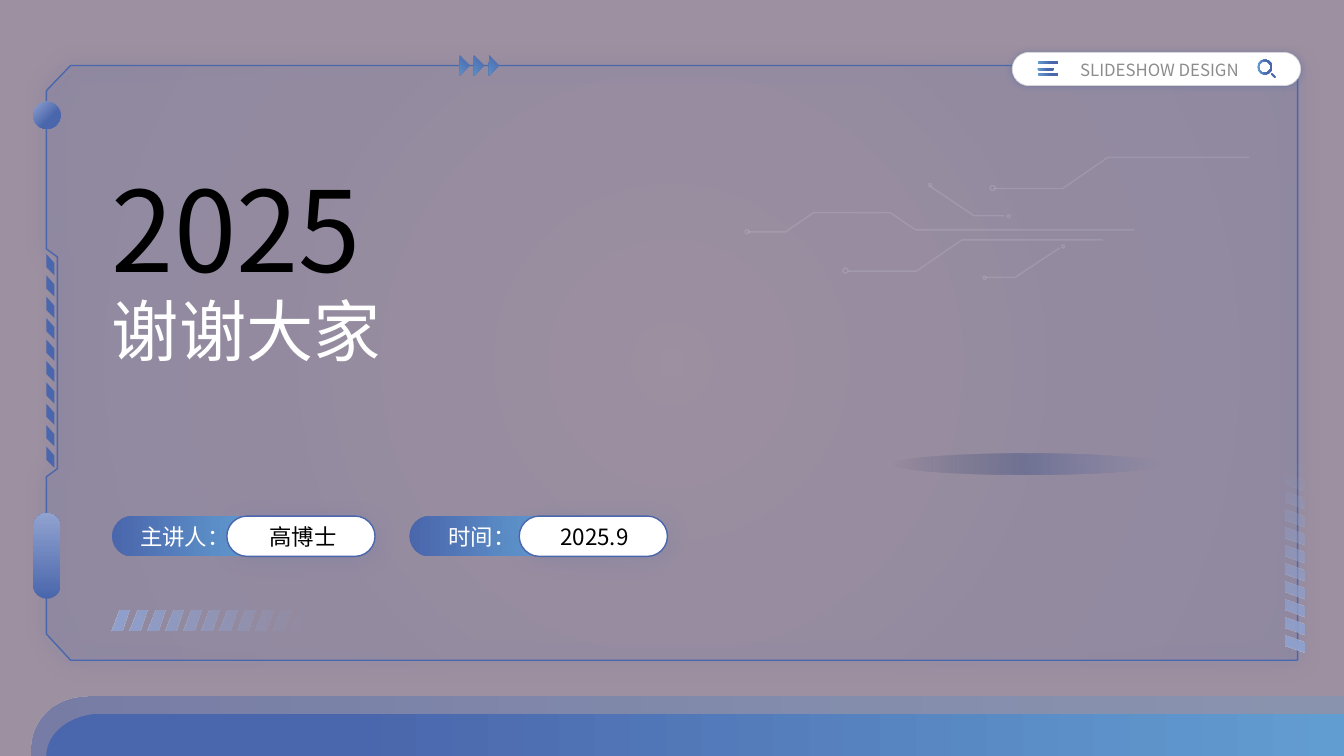
import math
import lxml.etree
import pptx
import pptx.dml.color
import pptx.enum.shapes
import pptx.enum.text
import pptx.oxml.ns
import pptx.util

Inches = pptx.util.Inches
qn = pptx.oxml.ns.qn
add_element = lxml.etree.SubElement
SHAPE = pptx.enum.shapes.MSO_SHAPE
ALIGN = pptx.enum.text.PP_ALIGN
ANCHOR = pptx.enum.text.MSO_ANCHOR

FONT = "Noto Sans CJK SC"
BLUE, SKY, PALE, NAVY = "4A66AC", "629DD1", "90A2CF", "384C81"
BLUE_TO_SKY = [(0, BLUE, 100), (100, SKY, 100)]
SKY_TO_BLUE = [(0, SKY, 100), (64, BLUE, 100)]
PALE_FADE = [(0, PALE, 100), (100, PALE, 0)]


def paint(fill, tint, alpha=100, angle=0):
    """Fill with a hex colour, or with gradient stops (position, hex, alpha); no angle is radial."""
    if isinstance(tint, str):
        fill.solid()
        fill.fore_color.rgb = pptx.dml.color.RGBColor.from_string(tint)
        if alpha < 100:
            color = fill._xPr.find(qn("a:solidFill"))[0]
            add_element(color, qn("a:alpha"), val=str(alpha * 1000))
        return
    fill.gradient()
    gradient = fill._xPr.find(qn("a:gradFill"))
    for child in list(gradient):
        gradient.remove(child)
    stops = add_element(gradient, qn("a:gsLst"))
    for position, value, opacity in tint:
        stop = add_element(stops, qn("a:gs"), pos=str(position * 1000))
        color = add_element(stop, qn("a:srgbClr"), val=value)
        add_element(color, qn("a:alpha"), val=str(opacity * 1000))
    if angle is None:
        radial = add_element(gradient, qn("a:path"), path="circle")
        add_element(radial, qn("a:fillToRect"), l="50000", t="50000", r="50000", b="50000")
    else:
        add_element(gradient, qn("a:lin"), ang=str(angle * 60000), scaled="0")


def draw(parent, kind, place, fill=None, angle=0, line=None, width=1, line_alpha=100,
         shadow=None, closed=True):
    """Draw a preset at (left, top, width, height), or with no kind a list of contours."""
    if kind is None:
        contours = [[(Inches(x), Inches(y)) for x, y in contour] for contour in place]
        builder = parent.build_freeform(*contours[0][0])
        for number, contour in enumerate(contours):
            if number:
                builder.move_to(*contour[0])
            builder.add_line_segments(contour[1:], close=closed)
        shape = builder.convert_to_shape()
    else:
        shape = parent.add_shape(kind, *[Inches(value) for value in place])
        if kind == SHAPE.ROUNDED_RECTANGLE:
            shape.adjustments[0] = 0.5
    shape.shadow.inherit = False
    if fill:
        paint(shape.fill, fill, angle=angle)
    else:
        shape.fill.background()
    if line:
        paint(shape.line.fill, line, line_alpha)
        shape.line.width = pptx.util.Pt(width)
    else:
        shape.line.fill.background()
    if shadow:
        alpha, blur, distance, direction = shadow
        effects = shape._element.spPr.find(qn("a:effectLst"))
        outer = add_element(effects, qn("a:outerShdw"), blurRad=str(blur * 12700),
                            dist=str(distance * 12700), dir=str(direction * 60000),
                            algn="ctr", rotWithShape="0")
        color = add_element(outer, qn("a:srgbClr"), val=BLUE)
        add_element(color, qn("a:alpha"), val=str(alpha * 1000))
    return shape


deck = pptx.Presentation()
deck.slide_width, deck.slide_height = Inches(13.33), Inches(7.5)
page = deck.slides.add_slide(deck.slide_layouts[5])
shapes = page.shapes

# Backdrop and frame
draw(shapes, SHAPE.RECTANGLE, (-0.02, 0, 13.35, 7.5), "9D90A0")
frame = [(0.7, 0.65), (12.87, 0.65), (12.87, 6.55), (0.7, 6.55), (0.46, 6.29),
         (0.46, 4.73), (0.57, 4.65), (0.57, 2.55), (0.46, 2.47), (0.46, 0.9)]
draw(shapes, None, [frame], [(0, BLUE, 0), (100, BLUE, 10)], None, line=BLUE,
     shadow=(70, 15, 0, 0))

# Knobs on the left edge and header pill
draw(shapes, SHAPE.ROUNDED_RECTANGLE, (0.33, 5.09, 0.27, 0.85),
     [(0, BLUE, 100), (100, PALE, 100)], 270)
draw(shapes, SHAPE.OVAL, (0.33, 1.01, 0.27, 0.27), [(0, PALE, 100), (64, BLUE, 100)], 45)
draw(shapes, SHAPE.ROUNDED_RECTANGLE, (10.04, 0.52, 2.86, 0.33), "FFFFFF",
     line="D9D9D9", width=0.5, shadow=(40, 5, 0, 0))

# Slanted stripes: bottom, right and left
bottom_starts = [1.19 + 1.77 * number / 10 for number in range(11)]
right_starts = [4.63 + 1.77 * number / 10 for number in range(11)]
left_starts = [2.52 + 1.91 * number / 9 for number in range(10)]
draw(shapes, None, [[(x, 6.06), (x + 0.1, 6.06), (x + 0.03, 6.26), (x - 0.08, 6.26)]
                    for x in bottom_starts], PALE_FADE)
draw(shapes, None, [[(12.75, y), (12.75, y - 0.11), (12.94, y - 0.04), (12.94, y + 0.07)]
                    for y in right_starts], PALE_FADE, 270)
draw(shapes, None, [[(0.46, y), (0.54, y + 0.09), (0.54, y + 0.21), (0.46, y + 0.13)]
                    for y in left_starts], BLUE)

# Circuit traces with their end rings
circuit = shapes.add_group_shape().shapes
traces = [
    [(10.94, 2.38), (9.54, 2.38), (9.09, 2.69), (8.41, 2.69)],
    [(12.39, 1.56), (10.99, 1.56), (10.54, 1.87), (9.86, 1.87)],
    [(9.23, 1.85), (9.66, 2.14), (9.96, 2.14)],
    [(10.51, 2.46), (10.07, 2.75), (9.77, 2.75)],
    [(11.25, 2.28), (9.08, 2.28), (8.83, 2.11), (8.07, 2.11), (7.79, 2.3), (7.42, 2.3)],
]
rings = [(8.36, 2.66, 0.05), (9.82, 1.84, 0.05), (9.99, 2.13, 0.03), (9.21, 1.82, 0.03),
         (9.75, 2.74, 0.03), (10.53, 2.43, 0.03), (7.39, 2.28, 0.04)]
for trace in traces:
    draw(circuit, None, [trace], line="E0EBF6", line_alpha=15, closed=False)
for left, top, size in rings:
    draw(circuit, SHAPE.OVAL, (left, top, size, size), line="E0EBF6", line_alpha=15)

# Label and field pills
for label_left, field_left in [(1.11, 2.25), (4.06, 5.15)]:
    draw(shapes, SHAPE.ROUNDED_RECTANGLE, (label_left, 5.12, 1.43, 0.4), BLUE_TO_SKY)
    draw(shapes, SHAPE.ROUNDED_RECTANGLE, (field_left, 5.12, 1.47, 0.4), "FFFFFF",
         line=BLUE, shadow=(15, 15, 3, 45))

# Arrows on the top edge
for left in (4.49, 4.63, 4.78):
    arrow = draw(shapes, SHAPE.RIGHT_TRIANGLE, (left, 0.58, 0.14, 0.14), BLUE_TO_SKY)
    arrow.rotation = 315.3
    arrow._element.spPr.find(qn("a:xfrm")).set("flipH", "1")

# Bottom bands with a rounded top left corner
bands = [(0.31, 6.91, 0.56, 0.49, [(0, BLUE, 46), (100, SKY, 31)]),
         (0.46, 7.08, 0.55, 0.42, [(23, BLUE, 100), (100, SKY, 100)])]
for left, top, radius_x, radius_y, stops in bands:
    turns = [math.pi / 2 * step / 16 for step in range(17)]
    corner = [(left + radius_x * (1 - math.cos(turn)), top + radius_y * (1 - math.sin(turn)))
              for turn in turns]
    draw(shapes, None, [[(left, 7.5)] + corner + [(13.33, top), (13.33, 7.5)]], stops)

# Menu and search icons
menu = shapes.add_group_shape().shapes
for top, length in [(0.61, 0.21), (0.67, 0.16), (0.72, 0.21)]:
    draw(menu, SHAPE.ROUNDED_RECTANGLE, (10.29, top, length, 0.03), SKY_TO_BLUE)
search = shapes.add_group_shape().shapes
lens = draw(search, SHAPE.DONUT, (12.47, 0.59, 0.15, 0.15), SKY_TO_BLUE)
lens.adjustments[0] = 0.12
handle = draw(search, SHAPE.ROUNDED_RECTANGLE, (12.6, 0.74, 0.06, 0.02), BLUE)
handle.rotation = 45

# Soft ellipse on the right
draw(shapes, SHAPE.OVAL, (8.85, 4.5, 2.66, 0.21),
     [(0, "253356", 0), (49, NAVY, 39), (100, BLUE, 0)])

# Texts: wording, place, size, colour, opacity, alignment, anchor, line spacing
title = shapes.title
texts = [
    ("2025", (1.11, 1.46, 4.06, 1.12), 80, "000000", 100, ALIGN.LEFT, ANCHOR.TOP, 1.1),
    ("谢谢大家", (1.11, 2.63, 6.71, 2.16), 48, "FFFFFF", 100, ALIGN.LEFT, ANCHOR.TOP, 1.3),
    ("SLIDESHOW DESIGN", (10.44, 0.56, 2.12, 0.24), 12, "404040", 60, ALIGN.CENTER,
     ANCHOR.MIDDLE, 1.1),
    ("高博士", (2.61, 5.17, 0.79, 0.3), 16, "000000", 100, ALIGN.CENTER, ANCHOR.MIDDLE, 1.0),
    ("2025.9", (5.42, 5.17, 0.95, 0.3), 16, "000000", 100, ALIGN.CENTER, ANCHOR.MIDDLE, 1.0),
    ("主讲人：", (1.39, 5.17, 0.97, 0.3), 16, "FFFFFF", 100, ALIGN.LEFT, ANCHOR.MIDDLE, 1.0),
    ("时间：", (4.45, 5.17, 0.69, 0.3), 16, "FFFFFF", 100, ALIGN.LEFT, ANCHOR.MIDDLE, 1.0),
]
for wording, place, size, tint, alpha, alignment, anchor, spacing in texts:
    left, top, width, height = [Inches(value) for value in place]
    if wording == "谢谢大家":
        box = title
        box.left, box.top, box.width, box.height = left, top, width, height
        box._element.getparent().append(box._element)
    else:
        box = shapes.add_textbox(left, top, width, height)
    frame_text = box.text_frame
    frame_text.word_wrap = True
    frame_text.auto_size = pptx.enum.text.MSO_AUTO_SIZE.NONE
    frame_text.vertical_anchor = anchor
    frame_text.margin_left = frame_text.margin_right = 0
    frame_text.margin_top = frame_text.margin_bottom = 0
    para = frame_text.paragraphs[0]
    para.alignment, para.line_spacing = alignment, spacing
    span = para.add_run()
    span.text = wording
    span.font.size, span.font.name = pptx.util.Pt(size), FONT
    paint(span.font.fill, tint, alpha)
    add_element(span.font._element, qn("a:ea"), typeface=FONT)

deck.save("out.pptx")
